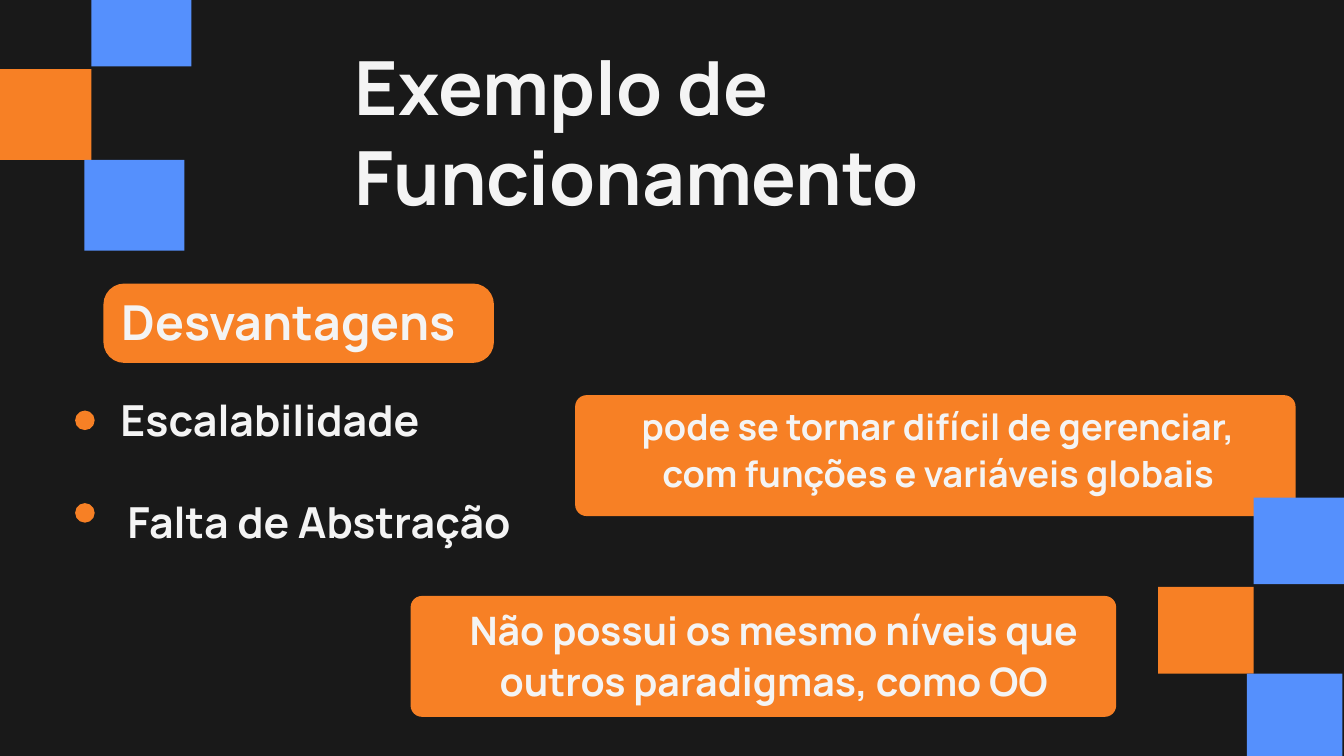
from pptx import Presentation
from pptx.dml.color import RGBColor
from pptx.enum.shapes import MSO_SHAPE
from pptx.enum.text import MSO_AUTO_SIZE, PP_ALIGN
from pptx.util import Cm, Pt

COLORS = {"background": "191919", "orange": "F78025", "blue": "5590FD", "text": "F4F4F4"}
FONT = "Manrope"


def rgb(name):
    return RGBColor.from_string(COLORS[name])


def add_block(s, kind, x, y, w, h, color):
    sp = s.shapes.add_shape(kind, Cm(x), Cm(y), Cm(w), Cm(h))
    sp.shadow.inherit = False
    sp.fill.solid()
    sp.fill.fore_color.rgb = rgb(color)
    sp.line.fill.background()
    return sp


def add_panel(s, x, y, w, h, radius):
    sp = add_block(s, MSO_SHAPE.ROUNDED_RECTANGLE, x, y, w, h, "orange")
    sp.adjustments[0] = radius / h


def add_checkers(s, x, y, w, h):
    squares = [
        (x, y, "orange"),
        (x + h, y - 1.03 * w, "blue"),
        (x + 0.93 * h, y + w, "blue"),
    ]
    for left, top, color in squares:
        sp = add_block(s, MSO_SHAPE.RECTANGLE, left, top, w, h, color)
        sp.rotation = 270


def add_text(s, text, x, y, w, h, size, spacing, align=PP_ALIGN.CENTER):
    tf = s.shapes.add_textbox(Cm(x), Cm(y), Cm(w), Cm(h)).text_frame
    tf.word_wrap = True
    tf.auto_size = MSO_AUTO_SIZE.SHAPE_TO_FIT_TEXT
    tf.margin_left = tf.margin_right = tf.margin_top = tf.margin_bottom = 0
    tf.text = text
    p = tf.paragraphs[0]
    p.alignment = align
    p.line_spacing = Pt(spacing)
    r = p.runs[0]
    r.font.name = FONT
    r.font.size = Pt(size)
    r.font.bold = True
    r.font.color.rgb = rgb("text")


def add_item(s, text, dot_y, x, y, w):
    add_block(s, MSO_SHAPE.OVAL, 2.84, dot_y, 0.74, 0.74, "orange")
    add_text(s, text, x, y, w, 2.13, 45.8, 59.5)


def main():
    prs = Presentation()
    prs.slide_width, prs.slide_height = Cm(50.8), Cm(28.58)
    s = prs.slides.add_slide(prs.slide_layouts[6])
    s.background.fill.solid()
    s.background.fill.fore_color.rgb = rgb("background")

    add_text(s, "Exemplo de Funcionamento", 13.41, 1.55, 23.95, 10.36, 80, 96, PP_ALIGN.LEFT)
    add_checkers(s, -0.15, 2.44, 3.43, 3.78)

    add_panel(s, 3.91, 10.72, 14.76, 3, 0.79)
    add_text(s, "Desvantagens", 4.6, 11.05, 13.84, 2.29, 51.6, 61.9, PP_ALIGN.LEFT)

    add_item(s, "Escalabilidade", 15.52, 4.09, 14.71, 12.24)
    add_item(s, "Falta de Abstração", 19.02, 4.09, 18.59, 15.95)

    add_panel(s, 21.74, 14.94, 27.23, 4.57, 0.43)
    add_text(s, "pode se tornar difícil de gerenciar, com funções e variáveis globais",
             22.96, 15.14, 24.99, 3.61, 38.8, 50.4)
    add_panel(s, 15.52, 22.53, 26.67, 4.57, 0.43)
    add_text(s, "Não possui os mesmo níveis que outros paradigmas, como OO",
             16.33, 22.76, 25.83, 3.91, 42, 54.6)

    add_checkers(s, 43.94, 22.02, 3.28, 3.61)
    prs.save("out.pptx")


if __name__ == "__main__":
    main()
